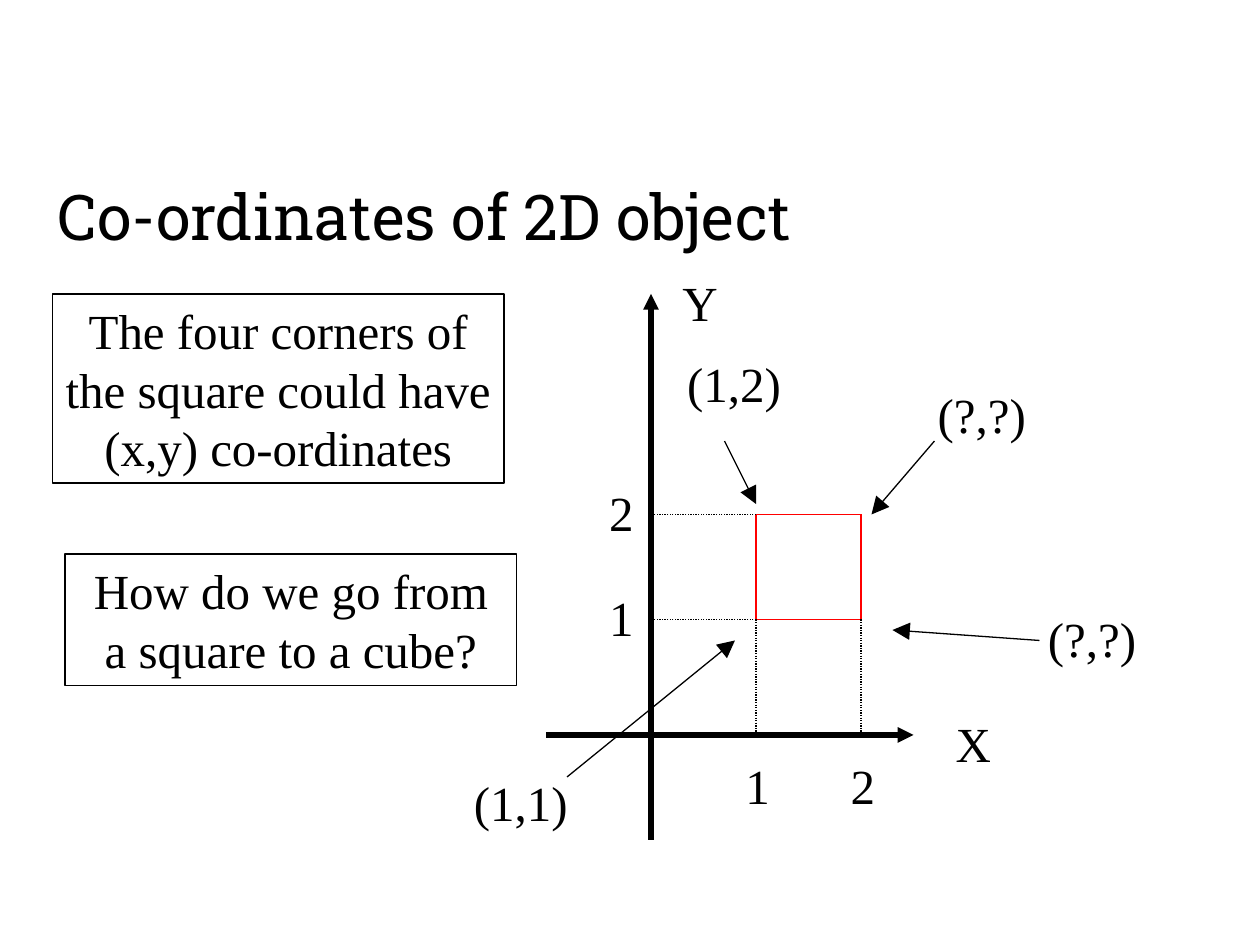
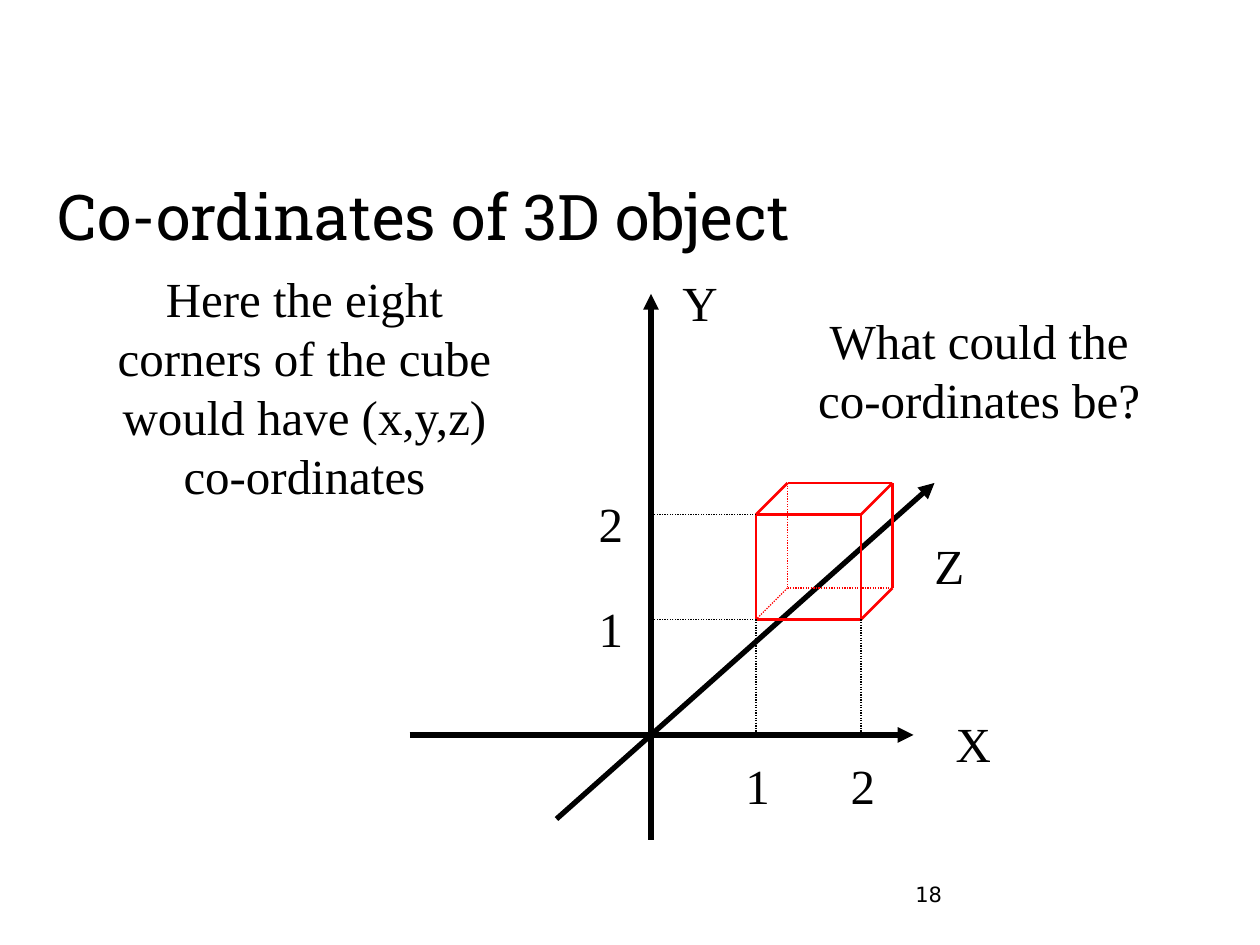
from pptx import Presentation
from pptx import util as u
from pptx.dml.color import RGBColor
from pptx.enum import dml, shapes, text
from pptx.oxml import parse_xml
from pptx.oxml.ns import nsdecls

CELL = u.Inches(1) // 12
COLS, ROWS = 120, 90
BLACK, RED, WHITE = "000000", "FF0000", "FFFFFF"
SERIF, SLAB, SANS = "Times New Roman", "Roboto Slab", "DejaVu Sans"
ORIGIN = 62, 70
LEFT, RIGHT, TOP, BASE = 72, 82, 49, 59
SHIFT = 3


def rgb(code):
    """Turn a hex string into a colour."""
    return RGBColor.from_string(code)


def grid(*cells):
    """Turn grid cells into lengths."""
    return [int(n * CELL) for n in cells]


def line(slide, start, end, color=BLACK, width=0.75, dots=False, tip=None):
    """Draw a straight line, with an arrowhead of size tip if given."""
    link = slide.shapes.add_connector(
        shapes.MSO_CONNECTOR.STRAIGHT, *grid(*start, *end))
    link.line.color.rgb = rgb(color)
    link.line.width = u.Pt(width)
    if dots:
        link.line.dash_style = dml.MSO_LINE.ROUND_DOT
    props = link._element.spPr
    if tip:
        props.find("{*}ln").append(parse_xml(
            f'<a:tailEnd {nsdecls("a")} type="triangle" w="{tip}" len="{tip}"/>'))
    props.append(parse_xml(f'<a:effectLst {nsdecls("a")}/>'))


def write(slide, words, area, size=28, font=SERIF, center=True):
    """Place one paragraph of text in a grid area."""
    box = slide.shapes.add_textbox(*grid(*area))
    frame = box.text_frame
    frame.word_wrap = True
    para = frame.paragraphs[0]
    para.alignment = text.PP_ALIGN.CENTER if center else text.PP_ALIGN.LEFT
    run = para.add_run()
    run.text = words
    run.font.size = u.Pt(size)
    run.font.name = font
    run.font.color.rgb = rgb(BLACK)
    return box


def title(slide, words):
    """Write the slide title."""
    box = write(slide, words, (4.3, 13, 110.5, 15), 36, SLAB, False)
    box.text_frame.vertical_anchor = text.MSO_ANCHOR.MIDDLE


def panel(slide, words, area):
    """Write text in a box with a black outline."""
    box = write(slide, words, area)
    box.line.color.rgb = rgb(BLACK)
    box.line.width = u.Pt(1)


def label(slide, mark, col, row, wide=3):
    """Put an axis letter or number on a white patch."""
    box = write(slide, mark, (col, row, wide, 6), center=False)
    box.fill.solid()
    box.fill.fore_color.rgb = rgb(WHITE)
    frame = box.text_frame
    frame.margin_left = frame.margin_right = 0
    frame.margin_top = frame.margin_bottom = 0


def axes(slide, start):
    """Draw the X and Y axes with their letters."""
    x, y = ORIGIN
    line(slide, (x, 80), (x, 28), width=3, tip="med")
    line(slide, (start, y), (87, y), width=3, tip="med")
    label(slide, "Y", 65, 26, 4)
    label(slide, "X", 91, 68, 4)


def scale(slide, col, row):
    """Draw the dotted guides and number both axes."""
    x, y = ORIGIN
    for side in (LEFT, RIGHT):
        line(slide, (side, BASE), (side, y), dots=True)
    for level in (BASE, TOP):
        line(slide, (LEFT, level), (x, level), dots=True)
    for step, mark in enumerate("12"):
        label(slide, mark, 71 + 10 * step, 72)
        label(slide, mark, col, row - 10 * step)


def corners(shift=0):
    """List a square's corners clockwise from bottom left."""
    flat = (LEFT, BASE), (LEFT, TOP), (RIGHT, TOP), (RIGHT, BASE)
    return [(x + shift, y - shift) for x, y in flat]


def square(slide, width):
    """Draw the front square in red."""
    pts = corners()
    for start, end in zip(pts, pts[1:] + pts[:1]):
        line(slide, start, end, RED, width)


def edge(slide, start, end, hidden):
    """Draw a cube edge, thin and dotted when hidden."""
    line(slide, start, end, RED, 0.75 if hidden else 1.5, dots=hidden)


def cube(slide):
    """Draw the cube with dotted edges at its hidden corner."""
    square(slide, 1.5)
    front, back = corners(), corners(SHIFT)
    for i in range(4):
        edge(slide, back[i], front[i], i == 0)
        edge(slide, back[i], back[i - 1], i < 2)


def plane(slide):
    """Build the 2D slide."""
    title(slide, "Co-ordinates of 2D object")
    axes(slide, 52)
    square(slide, 0.75)
    scale(slide, 58, 56)
    panel(slide, "The four corners of the square could have (x,y) co-ordinates",
          (5, 28, 43, 18))
    panel(slide, "How do we go from a square to a cube?",
          (6.2, 52.8, 43, 12.5))
    for words, spot, start, end in (
            ("(1,2)", (63.7, 33.1), (69, 42), (72, 48)),
            ("(?,?)", (87.3, 36), (89, 42), (83, 49)),
            ("(?,?)", (97.8, 57.4), (99, 61), (85, 60)),
            ("(1,1)", (43.4, 73), (54, 74), (70, 61))):
        write(slide, words, (*spot, 12.4, 6.8))
        line(slide, start, end, tip="lg")


def space(slide):
    """Build the 3D slide."""
    title(slide, "Co-ordinates of 3D object")
    write(slide, "18", (86, 83.4, 28, 4.8), 12, SANS, False)
    axes(slide, 39)
    line(slide, (53, 78), (89, 46), width=3, tip="med")
    label(slide, "Z", 89, 51)
    cube(slide)
    scale(slide, 57, 57)
    write(slide, "Here the eight corners of the cube would have (x,y,z) "
          "co-ordinates", (8, 25, 42, 23.6))
    write(slide, "What could the co-ordinates be?", (76, 29, 34.5, 12.5))


def main():
    """Build and save the slides."""
    deck = Presentation()
    deck.slide_width, deck.slide_height = grid(COLS, ROWS)
    for build in (plane, space):
        build(deck.slides.add_slide(deck.slide_layouts[6]))
    deck.save("out.pptx")


if __name__ == "__main__":
    main()
